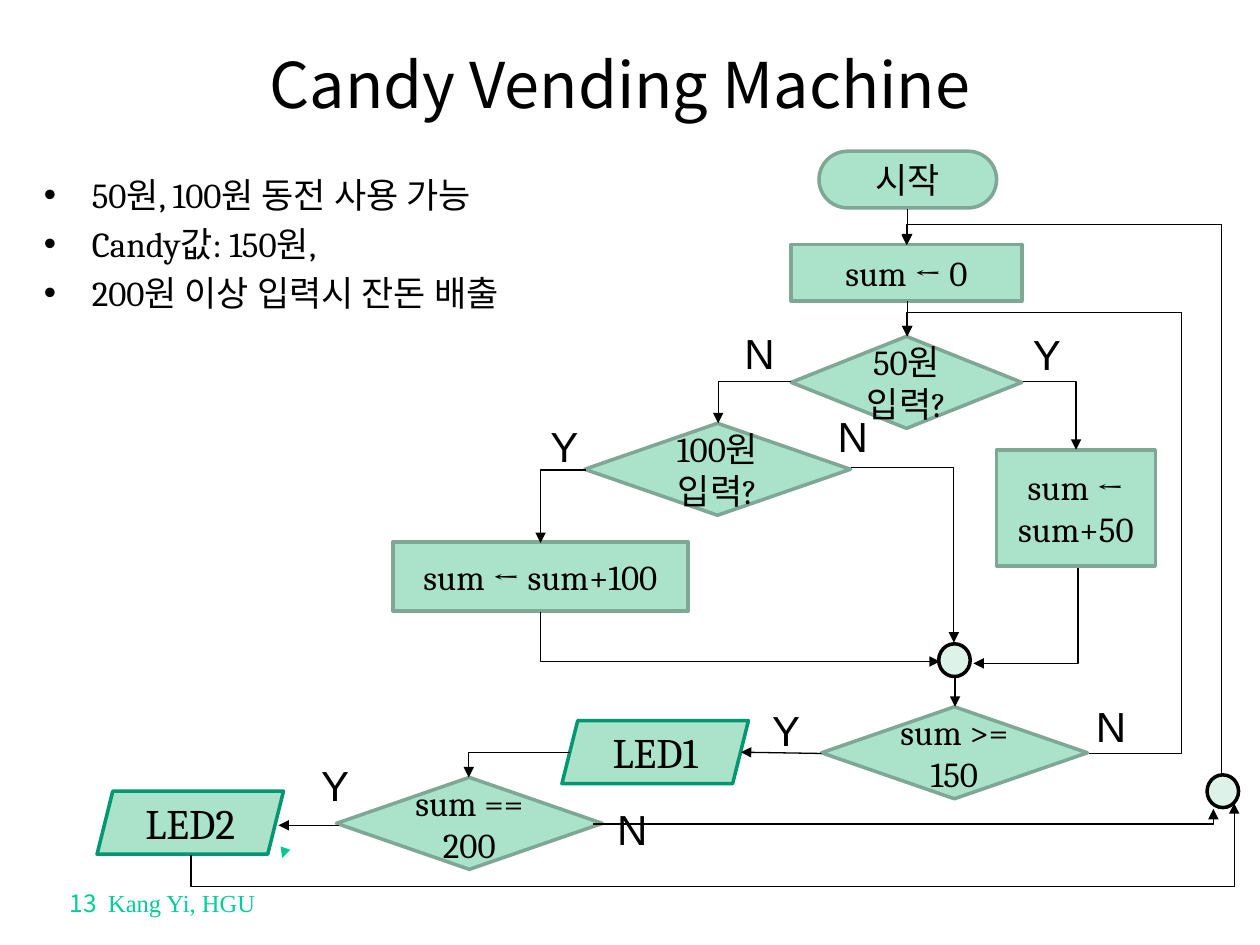
"""Build the candy vending machine flowchart slide."""
from lxml import etree
from pptx import Presentation
from pptx.dml.color import RGBColor
from pptx.enum.shapes import MSO_CONNECTOR, MSO_SHAPE
from pptx.enum.text import MSO_ANCHOR, PP_ALIGN
from pptx.oxml.ns import qn
from pptx.util import Inches, Pt

BLACK = RGBColor(0x00, 0x00, 0x00)
MINT = RGBColor(0xAA, 0xE2, 0xCA)
PALE_MINT = RGBColor(0xDD, 0xF3, 0xEA)
SAGE = RGBColor(0x7E, 0xA7, 0x95)
GREEN = RGBColor(0x00, 0x97, 0x71)
FOOTER_GREEN = RGBColor(0x00, 0xCC, 0x99)
ARROW_GREEN = RGBColor(0x00, 0xC8, 0x96)
TERMINATOR = MSO_SHAPE.FLOWCHART_TERMINATOR
PROCESS = MSO_SHAPE.FLOWCHART_PROCESS
DECISION = MSO_SHAPE.FLOWCHART_DECISION
OUTPUT = MSO_SHAPE.PARALLELOGRAM
JUNCTION = MSO_SHAPE.OVAL
STRAIGHT, ELBOW = MSO_CONNECTOR.STRAIGHT, MSO_CONNECTOR.ELBOW
CENTER, LEFT = PP_ALIGN.CENTER, PP_ALIGN.LEFT
MIDDLE = MSO_ANCHOR.MIDDLE
KOREAN_FONT = "Noto Sans CJK KR"

STEPS = [
    (TERMINATOR, 6.5, 1.2, 1.41, 0.45, "시작"),
    (PROCESS, 6.28, 1.94, 1.83, 0.45, "sum ← 0"),
    (DECISION, 6.28, 2.67, 1.83, 0.73, "50원 입력?"),
    (DECISION, 4.64, 3.36, 2.11, 0.73, "100원 입력?"),
    (PROCESS, 7.91, 3.57, 1.26, 0.92, "sum ← sum+50"),
    (PROCESS, 3.12, 4.3, 2.34, 0.55, "sum ← sum+100"),
    (DECISION, 6.52, 5.61, 2.11, 0.73, "sum >= 150"),
    (DECISION, 2.67, 6.17, 2.11, 0.73, "sum == 200"),
    (OUTPUT, 4.46, 5.72, 1.48, 0.5, "LED1"),
    (OUTPUT, 0.77, 6.28, 1.48, 0.5, "LED2"),
    (JUNCTION, 7.45, 5.11, 0.25, 0.26, ""),
    (JUNCTION, 9.58, 6.15, 0.25, 0.26, ""),
]
STRAIGHT_ARROWS = [
    (7.2, 1.66, 7.2, 1.94),
    (7.2, 2.39, 7.2, 2.67),
    (7.58, 5.37, 7.58, 5.61),
    (2.69, 6.55, 2.21, 6.55),
    (6.52, 5.98, 5.88, 5.97),
]
BENT_ARROWS = [
    (5.7, 3.03, 0.58, 0.33, 180, "V", 2, [], BLACK),
    (4.29, 3.73, 0.36, 0.58, 180, "V", 2, [], BLACK),
    (8.12, 3.03, 0.42, 0.54, 0, "", 2, [], BLACK),
    (5.68, 3.47, 0.39, 3.17, 270, "H", 2, [], BLACK),
    (7.76, 4.47, 0.76, 0.83, 90, "", 2, [], BLACK),
    (7.2, 2.67, 1.44, 3.31, 0, "HV", 4, [-51400, 105700], BLACK),
    (6.75, 3.71, 0.82, 1.39, 0, "", 2, [], BLACK),
    (3.72, 5.97, 0.8, 0.2, 180, "V", 2, [], BLACK),
    (4.71, 6.42, 4.92, 0.12, 0, "V", 2, [], BLACK),
    (6.34, 2.8, 4.21, 2.5, 270, "V", 3, [103900], BLACK),
    (2.23, 6.79, 0.03, 0.01, 90, "", 3, [], ARROW_GREEN),
    (5.45, 2.44, 0.41, 8.28, 90, "HV", 3, [-61100], BLACK),
]
BRANCH_LABELS = [
    ("N", 5.81, 2.55), ("N", 6.55, 3.21), ("N", 4.8, 6.33), ("N", 8.6, 5.51),
    ("Y", 8.1, 2.56), ("Y", 4.27, 3.29), ("Y", 6.03, 5.54), ("Y", 2.45, 5.98),
]


def write(text_frame, text, size, font_name, alignment, color=BLACK):
    text_frame.text = text
    for paragraph in text_frame.paragraphs:
        paragraph.alignment = alignment
        for run in paragraph.runs:
            run.font.size = Pt(size)
            run.font.name = font_name
            run.font.color.rgb = color
            east_asian = etree.SubElement(run.font._element, qn("a:ea"))
            east_asian.set("typeface", KOREAN_FONT)


def add_arrow(kind, x1, y1, x2, y2, color=BLACK):
    arrow = slide.shapes.add_connector(kind, Inches(x1), Inches(y1), Inches(x2), Inches(y2))
    arrow.line.color.rgb = color
    arrow.line.width = Pt(0.75)
    etree.SubElement(arrow.line._get_or_add_ln(), qn("a:tailEnd"), type="triangle")
    etree.SubElement(arrow._element.spPr, qn("a:effectLst"))
    return arrow


presentation = Presentation()
presentation.slide_width, presentation.slide_height = Inches(10), Inches(7.5)
slide = presentation.slides.add_slide(presentation.slide_layouts[5])

title = slide.shapes.title
title.left, title.top = Inches(0.67), Inches(0.25)
title.width, title.height = Inches(8.5), Inches(0.83)
title.text_frame.vertical_anchor = MIDDLE
write(title.text_frame, "Candy Vending Machine", 36, KOREAN_FONT, CENTER)

rules = slide.shapes.add_textbox(Inches(0.25), Inches(1.33), Inches(4.45), Inches(1.33))
rules.text_frame.word_wrap = True
rules_text = "50원, 100원 동전 사용 가능\nCandy값: 150원,\n200원 이상 입력시 잔돈 배출"
write(rules.text_frame, rules_text, 20, "Cambria", LEFT)
for paragraph in rules.text_frame.paragraphs:
    paragraph.space_before = Pt(4)
    properties = paragraph._p.get_or_add_pPr()
    properties.set("marL", str(Inches(0.38)))
    properties.set("indent", str(Inches(-0.38)))
    etree.SubElement(properties, qn("a:buFont"), typeface="Arial")
    etree.SubElement(properties, qn("a:buChar"), char="•")

footer = slide.shapes.add_textbox(Inches(0.25), Inches(7), Inches(2.08), Inches(0.33))
footer.text_frame.word_wrap = True
write(footer.text_frame, "13  ", 14, KOREAN_FONT, CENTER, FOOTER_GREEN)
author = footer.text_frame.paragraphs[0].add_run()
author.text = "Kang Yi, HGU"
author.font.size = Pt(14)
author.font.name = "Times New Roman"
author.font.color.rgb = FOOTER_GREEN

for kind, left, top, width, height, text in STEPS:
    step = slide.shapes.add_shape(kind, Inches(left), Inches(top), Inches(width), Inches(height))
    step.shadow.inherit = False
    step.fill.solid()
    step.fill.fore_color.rgb = PALE_MINT if kind == JUNCTION else MINT
    step.line.color.rgb = {JUNCTION: BLACK, OUTPUT: GREEN}.get(kind, SAGE)
    step.line.width = Pt(2)
    if text:
        step.text_frame.word_wrap = True
        step.text_frame.vertical_anchor = MIDDLE
        write(step.text_frame, text, 24 if kind == OUTPUT else 20, "Cambria", CENTER)

for ends in STRAIGHT_ARROWS:
    add_arrow(STRAIGHT, *ends)

for left, top, width, height, rotation, flips, bends, adjustments, color in BENT_ARROWS:
    arrow = add_arrow(ELBOW, left, top, left + width, top + height, color)
    properties = arrow._element.spPr
    properties.xfrm.set("rot", str(rotation * 60000))
    for flip in flips:
        properties.xfrm.set("flip" + flip, "1")
    geometry = properties.find(qn("a:prstGeom"))
    geometry.set("prst", f"bentConnector{bends}")
    guides = geometry.find(qn("a:avLst"))
    for number, value in enumerate(adjustments, 1):
        etree.SubElement(guides, qn("a:gd"), name=f"adj{number}", fmla=f"val {value}")

for text, left, top in BRANCH_LABELS:
    label = slide.shapes.add_textbox(Inches(left), Inches(top), Inches(0.44), Inches(0.5))
    label.text_frame.word_wrap = False
    write(label.text_frame, text, 24, "Arial", LEFT)

presentation.save("out.pptx")
